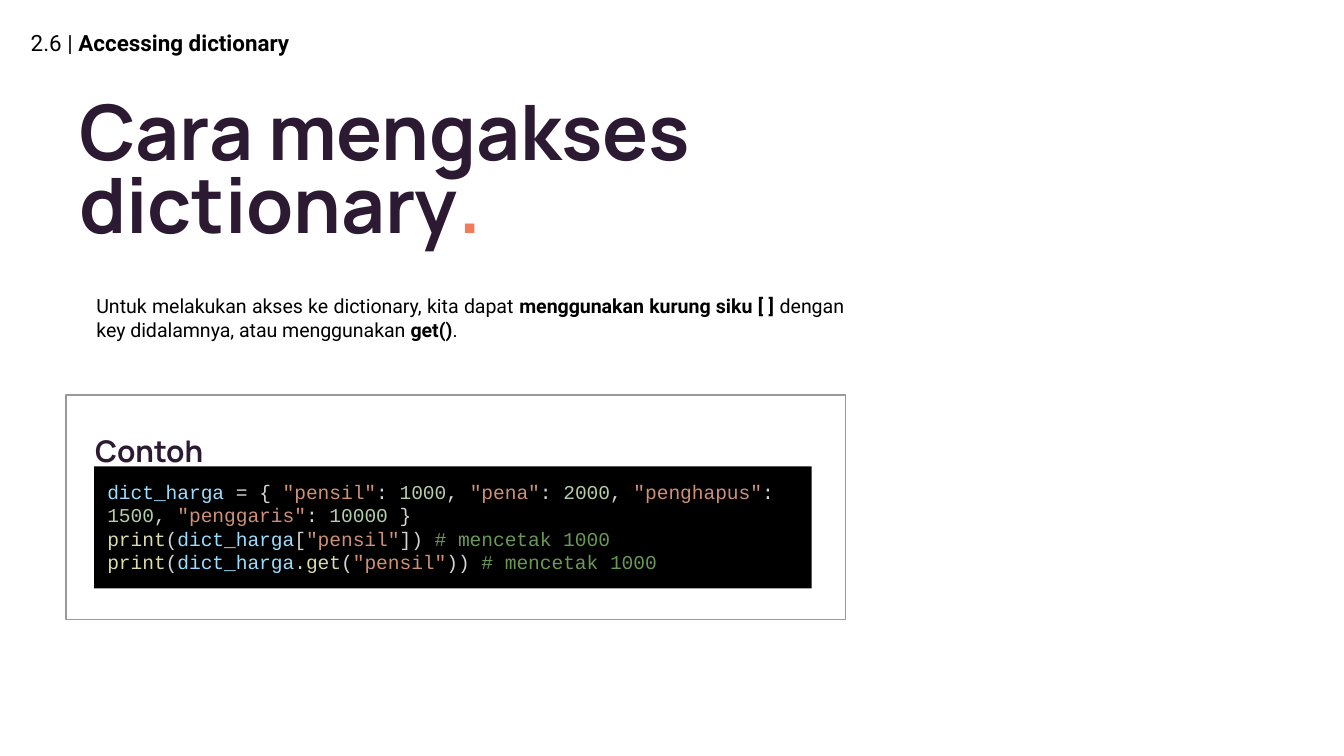
from pptx import Presentation
from pptx.dml.color import RGBColor
from pptx.enum.shapes import MSO_SHAPE
from pptx.enum.text import MSO_ANCHOR, MSO_AUTO_SIZE, PP_ALIGN
from pptx.util import Pt

BLACK = RGBColor(0x00, 0x00, 0x00)
PLUM = RGBColor(0x2C, 0x1A, 0x32)
CORAL = RGBColor(0xF0, 0x7A, 0x5A)
GREY = RGBColor(0x99, 0x99, 0x99)
NAME = RGBColor(0x9C, 0xDC, 0xFE)
MARK = RGBColor(0xD4, 0xD4, 0xD4)
QUOTE = RGBColor(0xCE, 0x91, 0x78)
DIGIT = RGBColor(0xB5, 0xCE, 0xA8)
CALL = RGBColor(0xDC, 0xDC, 0xAA)
NOTE = RGBColor(0x6A, 0x99, 0x55)


class Page:
    head = "Manrope"
    body = "Roboto"
    code = "Courier New"
    inset = Pt(7.2)

    def __init__(self, slide):
        self.slide = slide

    def place(self, shape, box):
        shape.left, shape.top, shape.width, shape.height = map(Pt, box)

    def fill_text(self, shape, lines, font, size, anchor=MSO_ANCHOR.MIDDLE,
                  align=PP_ALIGN.LEFT, space=1.0):
        frame = shape.text_frame
        frame.word_wrap = True
        frame.auto_size = MSO_AUTO_SIZE.NONE
        frame.vertical_anchor = anchor
        frame.margin_left = frame.margin_right = self.inset
        frame.margin_top = frame.margin_bottom = self.inset
        for index, line in enumerate(lines):
            para = frame.add_paragraph() if index else frame.paragraphs[0]
            para.alignment = align
            para.line_spacing = space
            for text, color, bold in line:
                run = para.add_run()
                run.text = text
                run.font.name = font
                run.font.size = Pt(size)
                run.font.bold = bold
                run.font.color.rgb = color

    def title(self, box, line, size):
        shape = self.slide.shapes.title
        self.place(shape, box)
        self.fill_text(shape, [line], self.head, size, space=0.8)

    def text(self, box, line, font, size, **style):
        shape = self.slide.shapes.add_textbox(*map(Pt, box))
        self.fill_text(shape, [line], font, size, **style)

    def panel(self, box, fill=None, line=None):
        shape = self.slide.shapes.add_shape(MSO_SHAPE.RECTANGLE, *map(Pt, box))
        shape.shadow.inherit = False
        if fill is None:
            shape.fill.background()
        else:
            shape.fill.solid()
            shape.fill.fore_color.rgb = fill
        if line is None:
            shape.line.fill.background()
        else:
            shape.line.color.rgb = line
            shape.line.width = Pt(0.75)
        return shape

    def sample(self, box, lines, size):
        shape = self.panel(box, fill=BLACK)
        rows = [[(text, color, False) for text, color in line] for line in lines]
        self.fill_text(shape, rows, self.code, size, anchor=MSO_ANCHOR.TOP)


def price_line(prices):
    line = [("dict_harga", NAME)]
    lead = " = { "
    for key, price in prices.items():
        line += [(lead, MARK), (f'"{key}"', QUOTE), (": ", MARK), (str(price), DIGIT)]
        lead = ", "
    return line + [(" }", MARK)]


def print_line(access, close):
    return [("print", CALL), ("(", MARK), ("dict_harga", NAME), *access,
            ('"pensil"', QUOTE), (close, MARK), ("# mencetak 1000", NOTE)]


def main():
    deck = Presentation()
    deck.slide_width, deck.slide_height = Pt(720), Pt(405)
    page = Page(deck.slides.add_slide(deck.slide_layouts[5]))

    page.text((9.4, 5, 328.3, 36),
              [("2.6 |", BLACK, False), (" Accessing dictionary", BLACK, True)],
              page.body, 12)
    page.title((35.3, 37.4, 547.2, 113),
               [("Cara mengakses dictionary", PLUM, True), (".", CORAL, True)], 41)
    page.text((44.6, 150.5, 414.7, 40.3), [
        ("Untuk melakukan akses ke dictionary, kita dapat ", BLACK, False),
        ("menggunakan kurung siku [ ]", BLACK, True),
        (" dengan key didalamnya, atau menggunakan ", BLACK, False),
        ("get()", BLACK, True),
        (".", BLACK, False),
    ], page.body, 10.5, anchor=MSO_ANCHOR.TOP, align=PP_ALIGN.JUSTIFY)

    page.panel((35.3, 211.7, 417.6, 120.2), line=GREY)
    page.text((43.9, 223.9, 328.3, 38.9), [("Contoh", PLUM, True)],
              page.head, 16, space=0.8)
    prices = {"pensil": 1000, "pena": 2000, "penghapus": 1500, "penggaris": 10000}
    page.sample((50.4, 249.8, 384.5, 65.5), [
        price_line(prices),
        print_line([("[", MARK)], "]) "),
        print_line([(".", MARK), ("get", CALL), ("(", MARK)], ")) "),
    ], 10.5)

    deck.save("out.pptx")


if __name__ == "__main__":
    main()
